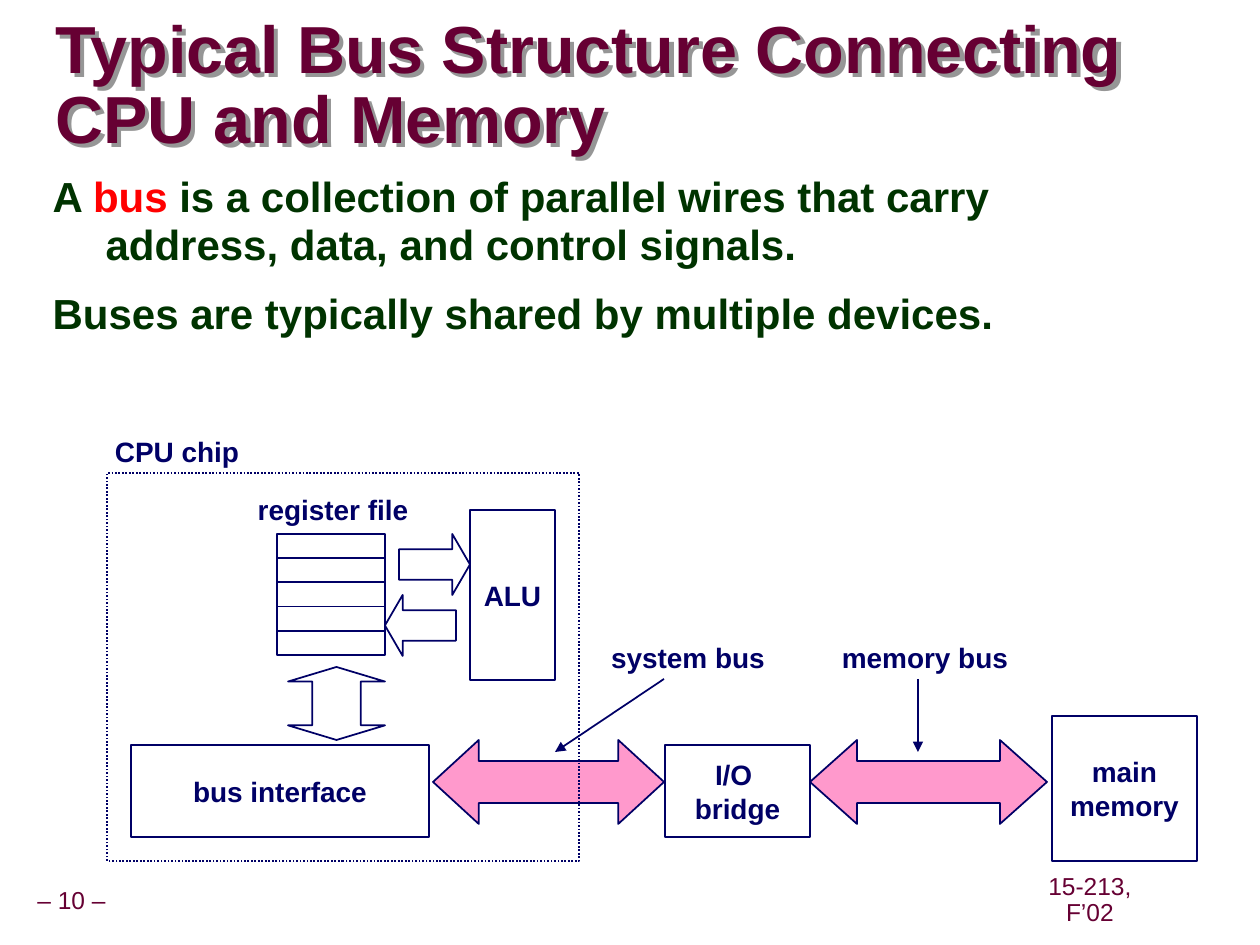
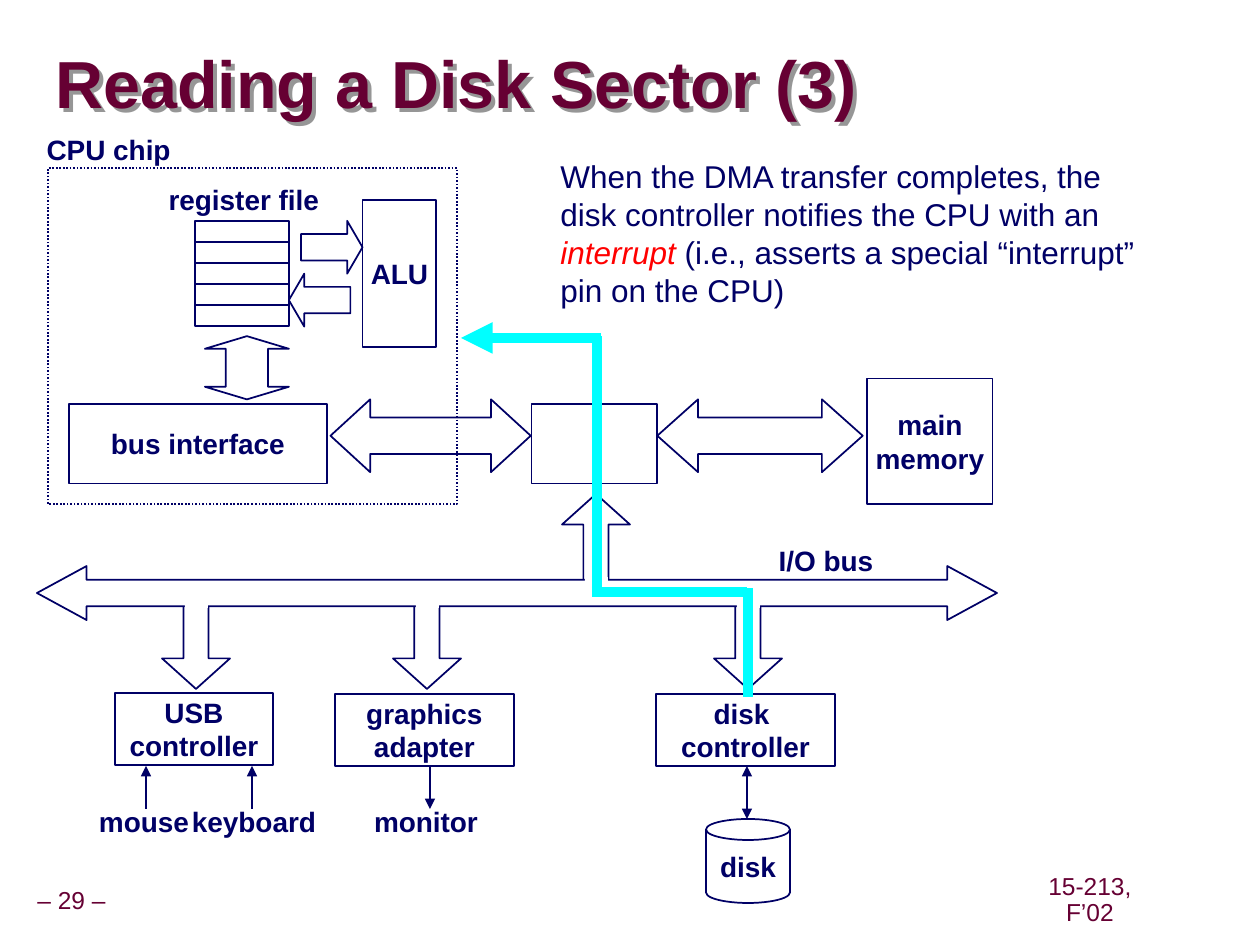
from dataclasses import dataclass

from lxml import etree
from pptx import Presentation
from pptx import util as u
from pptx.dml.color import RGBColor
from pptx.enum import shapes, text
from pptx.oxml import ns

KIND = shapes.MSO_SHAPE
ALIGN = text.PP_ALIGN
ANCHOR = text.MSO_ANCHOR
EMU_PER_PX = 914400 / 126


@dataclass(frozen=True)
class Theme:
    font: str = "Arial"
    maroon: str = "660033"
    green: str = "003300"
    navy: str = "000066"
    red: str = "FF0000"
    pink: str = "FF99CC"
    cyan: str = "00FFFF"
    white: str = "FFFFFF"
    shadow: str = "969696"
    title_size: int = 38
    body_size: int = 24
    note_size: int = 18
    label_size: int = 16
    footer_size: int = 14
    outline: int = 1
    signal: int = 6


THEME = Theme()


def px(value):
    return u.Emu(round(value * EMU_PER_PX))


def lengths(*values):
    return [px(value) for value in values]


def add_node(parent, tag, **attributes):
    node = etree.SubElement(parent, ns.qn(tag))
    for name, value in attributes.items():
        node.set(name, str(value))
    return node


def cast_text_shadow(shape):
    shape.fill.background()
    effects = add_node(shape._element.spPr, "a:effectLst")
    shadow = add_node(effects, "a:outerShdw", dist=px(6), dir=2700000,
                      algn="ctr", rotWithShape=0)
    add_node(shadow, "a:srgbClr", val=THEME.shadow)


def set_adjustments(shape, values):
    guides = shape._element.spPr.find(ns.qn("a:prstGeom")).find(ns.qn("a:avLst"))
    for guide in list(guides):
        guides.remove(guide)
    for number, value in enumerate(values, 1):
        name = f"adj{number}" if len(values) > 1 else "adj"
        add_node(guides, "a:gd", name=name, fmla=f"val {round(value * 100000)}")


def write(frame, paragraphs, size=THEME.label_size, color=THEME.navy, bold=False,
          align=ALIGN.LEFT, anchor=ANCHOR.TOP, wrap=True, insets=None,
          line=None, before=0, hanging=0):
    frame.word_wrap = wrap
    frame.auto_size = text.MSO_AUTO_SIZE.NONE
    frame.vertical_anchor = anchor
    if insets:
        (frame.margin_left, frame.margin_top,
         frame.margin_right, frame.margin_bottom) = lengths(*insets)
    for index, spans in enumerate(paragraphs):
        para = frame.add_paragraph() if index else frame.paragraphs[0]
        para.alignment = align
        if line:
            para.line_spacing = line
        para.space_before = u.Pt(before if index else 0)
        if hanging:
            properties = para._p.get_or_add_pPr()
            properties.set("marL", str(px(hanging)))
            properties.set("indent", str(-px(hanging)))
            add_node(properties, "a:buNone")
        for content, span_color, italic in spans:
            for number, part in enumerate(content.split("\n")):
                if number:
                    para.add_line_break()
                span = para.add_run()
                span.text = part
                span.font.size = u.Pt(size)
                span.font.bold = bold
                span.font.italic = italic
                span.font.color.rgb = RGBColor.from_string(span_color or color)
                span.font.name = THEME.font


def plain(*contents):
    return [[(content, None, False)] for content in contents]


def add_label(page, content, center_x, center_y, width=190):
    box = page.shapes.add_textbox(*lengths(center_x - width / 2, center_y - 23, width, 46))
    write(box.text_frame, plain(content), bold=True, align=ALIGN.CENTER,
          anchor=ANCHOR.MIDDLE, wrap=False)


def add_block(page, bounds, kind=KIND.RECTANGLE, words=(), fill=None,
              outline=True, adjust=(), flip=None, dotted=False):
    block = page.shapes.add_shape(kind, *lengths(*bounds))
    block.shadow.inherit = False
    if adjust:
        set_adjustments(block, adjust)
    if fill:
        block.fill.solid()
        block.fill.fore_color.rgb = RGBColor.from_string(fill)
    else:
        block.fill.background()
    if outline:
        block.line.color.rgb = RGBColor.from_string(THEME.navy)
        block.line.width = u.Pt(THEME.outline)
    else:
        block.line.fill.background()
    if dotted:
        add_node(block.line._get_or_add_ln(), "a:prstDash", val="sysDot")
    if flip:
        block._element.spPr.xfrm.set(flip, "1")
    if words:
        write(block.text_frame, plain(*words), bold=True, align=ALIGN.CENTER,
              anchor=ANCHOR.MIDDLE, wrap=False)


def add_line(page, start, end, color=THEME.navy, width=THEME.outline, arrows=()):
    line = page.shapes.add_connector(shapes.MSO_CONNECTOR.STRAIGHT, *lengths(*start, *end))
    line.line.color.rgb = RGBColor.from_string(color)
    line.line.width = u.Pt(width)
    for side in arrows:
        add_node(line.line._get_or_add_ln(), f"a:{side}End", type="triangle")
    add_node(line._element.spPr, "a:effectLst")


def place(shape, *bounds):
    shape.left, shape.top, shape.width, shape.height = lengths(*bounds)


def add_page(deck, layout, title, number):
    page = deck.slides.add_slide(deck.slide_layouts[layout])
    place(page.shapes.title, 55, 34, 1201, 107)
    cast_text_shadow(page.shapes.title)
    write(page.shapes.title.text_frame, plain(title), size=THEME.title_size,
          color=THEME.maroon, bold=True, anchor=ANCHOR.MIDDLE,
          insets=(0, 0, 0, 0), line=0.87)
    footers = [(f"– {number} –", (30, 882, 83, 39), False, (6, 6, 6, 6)),
               ("15-213, F’02", (1042, 881, 150, 39), True, (0, 6, 54, 6))]
    for content, bounds, wrap, insets in footers:
        box = page.shapes.add_textbox(*lengths(*bounds))
        write(box.text_frame, plain(content), size=THEME.footer_size,
              color=THEME.maroon, align=ALIGN.CENTER, anchor=ANCHOR.MIDDLE,
              wrap=wrap, insets=insets, line=0.9)
    return page


def draw_computer(page, left, top, scale=1.0, bus_fill=None, bridge=()):
    def at(x, y, width, height):
        return left + x * scale, top + y * scale, width * scale, height * scale

    add_block(page, at(945, 243, 145, 145), words=("main", "memory"))
    add_block(page, at(558, 272, 145, 92), words=bridge)
    for x, width, head in ((703, 237, 0.56), (326, 231, 0.545)):
        add_block(page, at(x, 267, width, 84), KIND.LEFT_RIGHT_ARROW,
                  fill=bus_fill, adjust=(0.5, head))
    add_block(page, at(24, 272, 298, 92), words=("bus interface",))
    row_height = 121 / 5
    for row in range(5):
        add_block(page, at(170, 61 + row * row_height, 108, row_height))
    for x, y, flip in ((292, 61, None), (278, 122, "flipH")):
        add_block(page, at(x, y, 71, 61), KIND.RIGHT_ARROW, adjust=(0.5, 0.29), flip=flip)
    add_block(page, at(363, 37, 85, 170), words=("ALU",))
    add_block(page, at(181, 194, 97, 73), KIND.UP_DOWN_ARROW, adjust=(0.5, 0.2))
    add_block(page, at(0, 0, 472, 388), dotted=True)
    add_label(page, "register file", left + 226 * scale, top + 36 * scale)
    add_label(page, "CPU chip", left + 70 * scale, top - 22 * scale)


def draw_io_bus(page):
    branch = dict(kind=KIND.UP_ARROW, adjust=(0.37, 0.45))
    branches = (162, 393, 714)
    add_block(page, (562, 494, 68, 94), **branch)
    for x in branches:
        add_block(page, (x, 595, 68, 94), flip="flipV", **branch)
    add_block(page, (37, 566, 960, 54), KIND.LEFT_RIGHT_ARROW,
              fill=THEME.white, adjust=(0.49, 0.92))
    joints = [(562, 577)] + [(x, 587) for x in branches]
    for x, y in joints:
        add_block(page, (x + 23, y, 23, 21), fill=THEME.white, outline=False)
    add_label(page, "I/O bus", 826, 560)


def draw_devices(page):
    add_block(page, (115, 693, 158, 72), words=("USB", "controller"))
    add_block(page, (335, 694, 179, 72), words=("graphics", "adapter"))
    add_block(page, (656, 694, 179, 72), words=("disk ", "controller"))
    add_block(page, (706, 819, 84, 84), KIND.CAN, words=("disk",), adjust=(0.25,))
    for x, bottom, arrows in ((146, 809, ("head",)), (252, 809, ("head",)),
                              (430, 809, ("tail",)), (747, 819, ("head", "tail"))):
        add_line(page, (x, 766), (x, bottom), arrows=arrows)
    for content, x in (("mouse", 144), ("keyboard", 254), ("monitor", 426)):
        add_label(page, content, x, 821)


def draw_interrupt(page):
    for start, end, arrows in (((601, 338), (461, 338), ("tail",)),
                               ((597, 336), (597, 588), ()),
                               ((592, 592), (747, 592), ()),
                               ((748, 588), (748, 697), ())):
        add_line(page, start, end, THEME.cyan, THEME.signal, arrows)


def build_bus_page(deck):
    page = add_page(deck, 1, "Typical Bus Structure Connecting \nCPU and Memory", 10)
    body = page.placeholders[1]
    place(body, 40, 168, 1145, 719)
    sentences = [
        [("A ", None, False), ("bus", THEME.red, False),
         (" is a collection of parallel wires that carry address, data, "
          "and control signals.", None, False)],
        *plain("Buses are typically shared by multiple devices."),
    ]
    write(body.text_frame, sentences, size=THEME.body_size, color=THEME.green,
          bold=True, line=0.95, before=12, hanging=53)
    draw_computer(page, 107, 473, bus_fill=THEME.pink, bridge=("I/O ", "bridge"))
    add_label(page, "system bus", 688, 657)
    add_label(page, "memory bus", 925, 657)
    add_line(page, (664, 679), (555, 752), arrows=("tail",))
    add_line(page, (918, 679), (918, 752), arrows=("tail",))


def build_disk_page(deck):
    page = add_page(deck, 5, "Reading a Disk Sector (3)", 29)
    draw_computer(page, 48, 168, scale=13 / 15)
    draw_devices(page)
    draw_io_bus(page)
    draw_interrupt(page)
    note = page.shapes.add_textbox(*lengths(548, 151, 606, 164))
    write(note.text_frame, [[
        ("When the DMA transfer completes, the disk controller notifies "
         "the CPU with an ", None, False),
        ("interrupt", THEME.red, True),
        (" (i.e., asserts a special “interrupt” pin on the CPU)", None, False),
    ]], size=THEME.note_size)


def main():
    deck = Presentation()
    deck.slide_width, deck.slide_height = lengths(1260, 945)
    build_bus_page(deck)
    build_disk_page(deck)
    deck.save("out.pptx")


if __name__ == "__main__":
    main()
